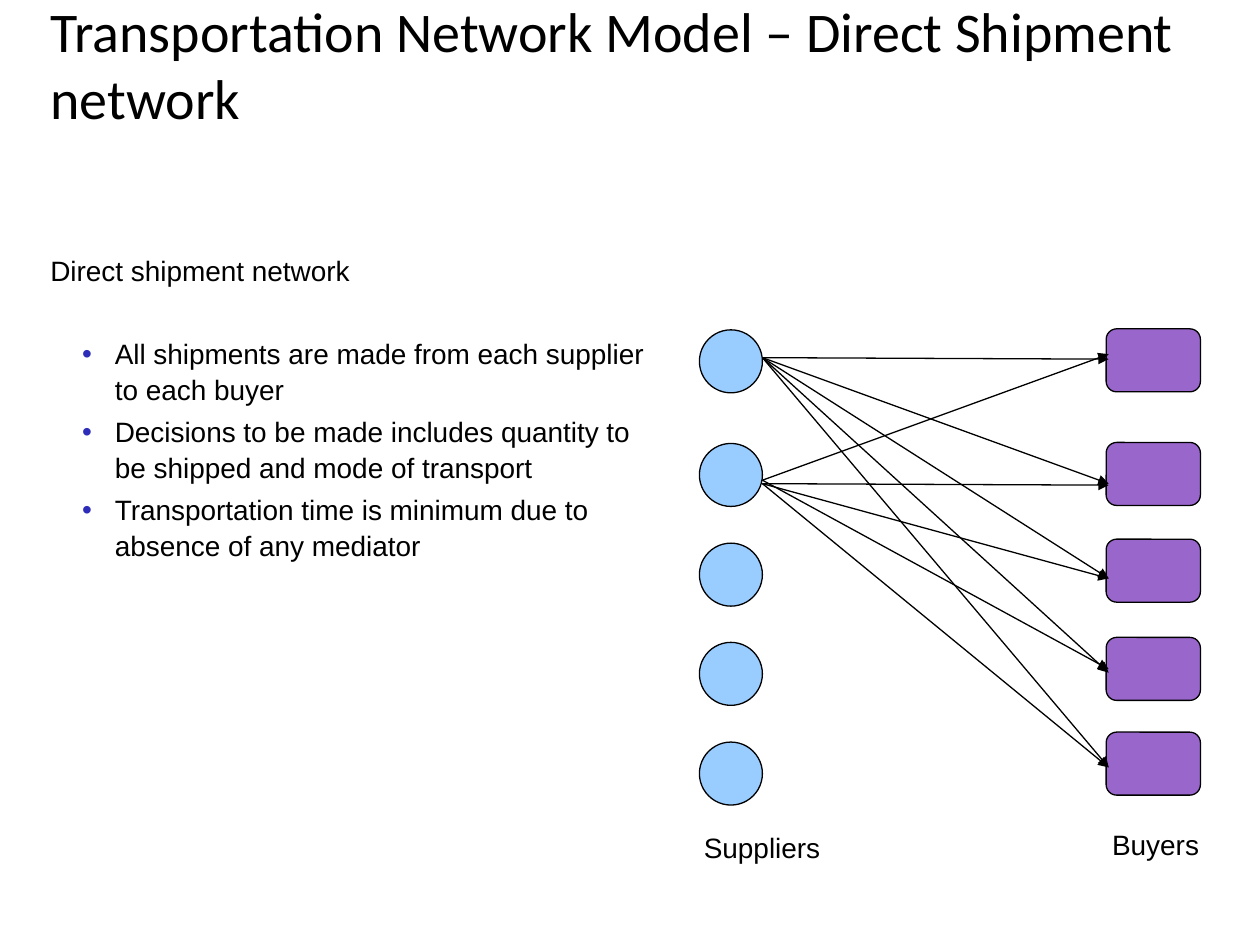
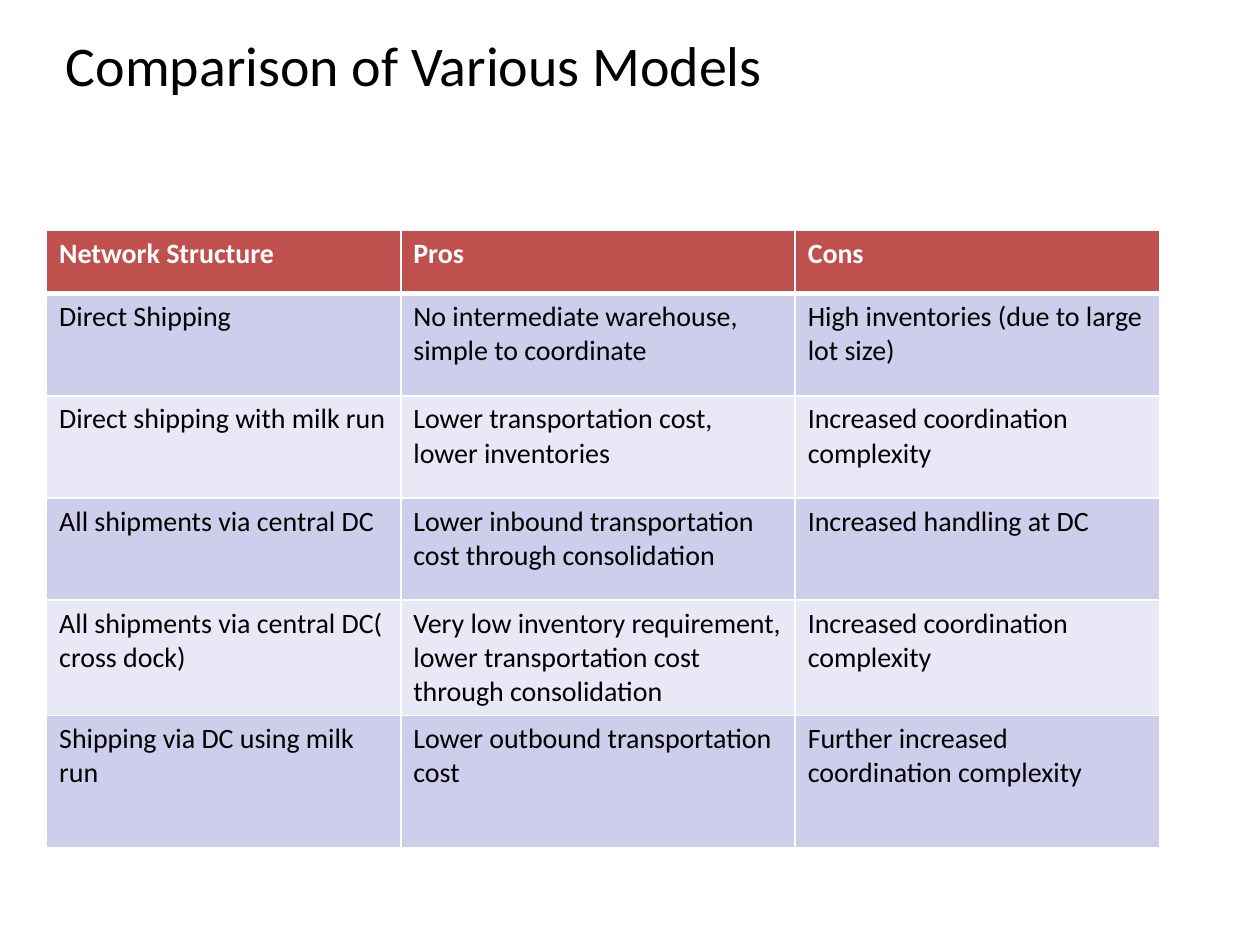
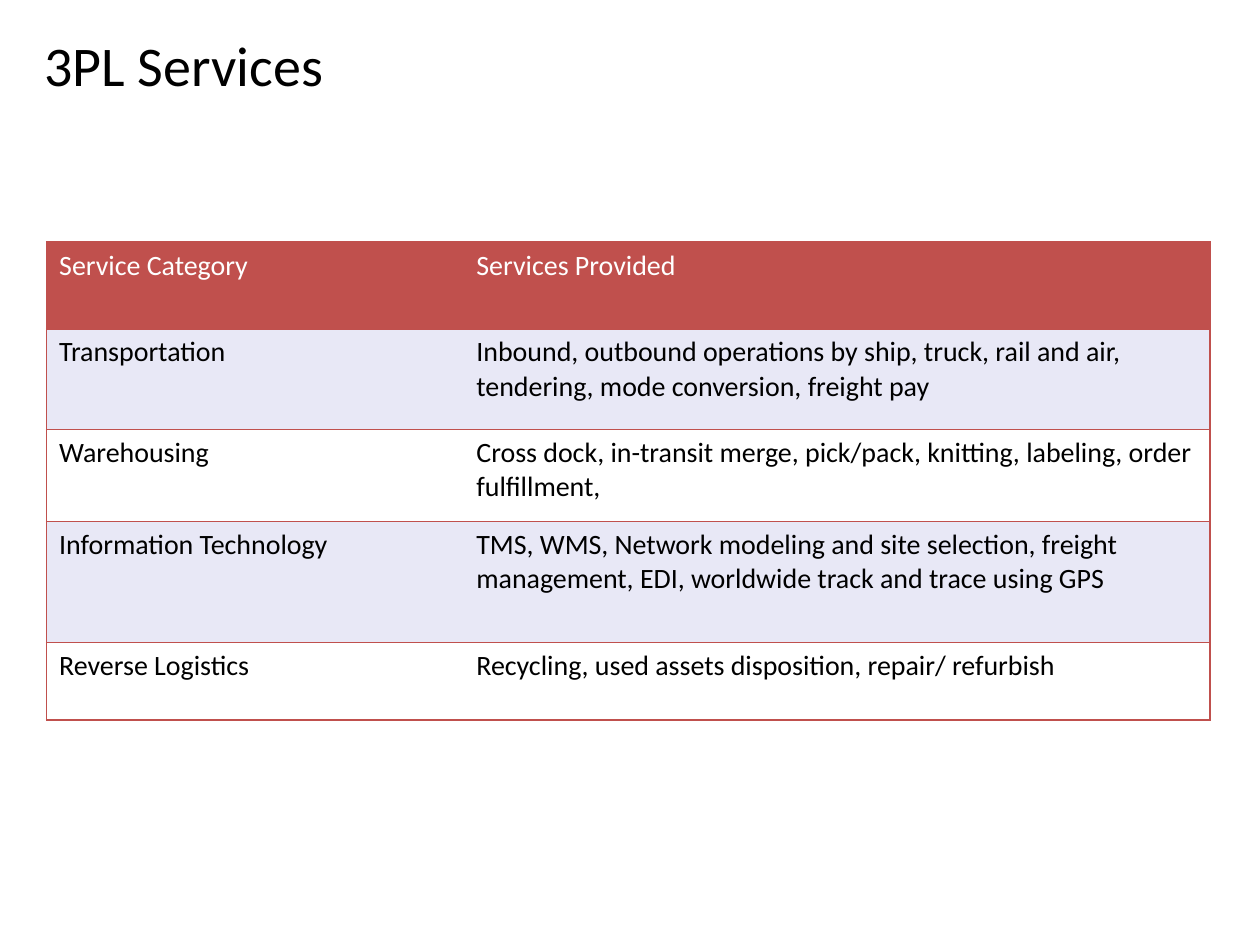
from lxml.etree import SubElement
from pptx import Presentation
from pptx.dml.color import RGBColor
from pptx.enum.shapes import MSO_CONNECTOR as Link, MSO_SHAPE as Form
from pptx.enum.text import MSO_ANCHOR as Anchor, MSO_AUTO_SIZE as AutoSize, PP_ALIGN as Align
from pptx.oxml.ns import qn
from pptx.util import Cm, Pt

COLORS = {
    "black": "000000", "white": "FFFFFF", "supplier": "99CCFF", "buyer": "9966CC",
    "bullet": "2D2DB9", "header": "C0504D", "band": "CDCDEC", "pale": "E8E8F6",
}
TITLE_ONLY, TITLE_AND_BODY = 5, 1
SIDES = {"left": "a:lnL", "right": "a:lnR", "top": "a:lnT", "bottom": "a:lnB"}


def rgb(name):
    return RGBColor.from_string(COLORS[name])


class SlideBuilder:
    """Holds the shared style and the slide being built."""

    heading_font, text_font = "Calibri", "Arial"
    heading_size, text_size = Pt(32), Pt(16)

    def __init__(self, deck):
        self.deck = deck
        self.page = None

    def style(self, para, face, size, color="black", bold=False):
        font = para.font
        font.name, font.size, font.bold = face, size, bold
        font.color.rgb = rgb(color)

    def place(self, box, left, top, width, height):
        box.left, box.top, box.width, box.height = map(Cm, (left, top, width, height))

    def start(self, title, left, width, layout=TITLE_ONLY):
        self.page = self.deck.slides.add_slide(self.deck.slide_layouts[layout])
        box = self.page.shapes.title
        self.place(box, left, 0.46, width, 1.65)
        frame = box.text_frame
        frame.text = title
        frame.auto_size = AutoSize.NONE
        frame.vertical_anchor = Anchor.MIDDLE
        para = frame.paragraphs[0]
        para.alignment = Align.LEFT
        self.style(para, self.heading_font, self.heading_size)

    def indent(self, para, margin, hanging):
        props = para._p.get_or_add_pPr()
        props.set("marL", str(Cm(margin)))
        props.set("indent", str(-Cm(hanging)))
        return props

    def body(self, heading, items, left, top, width, height):
        box = self.page.placeholders[1]
        self.place(box, left, top, width, height)
        frame = box.text_frame
        frame.auto_size = AutoSize.NONE
        frame.text = "\n".join([heading, *items])
        for index, para in enumerate(frame.paragraphs):
            para.line_spacing = 1.06
            para.space_before = Pt(27 if index == 1 else 4)
            if index == 0:
                SubElement(self.indent(para, 0.3, 0.3), qn("a:buNone"))
            else:
                para.level = 1
                props = self.indent(para, 1.3, 0.66)
                tint = SubElement(props, qn("a:buClr"))
                SubElement(tint, qn("a:srgbClr"), val=COLORS["bullet"])
                SubElement(props, qn("a:buFont"), typeface=self.text_font)
                SubElement(props, qn("a:buChar"), char="•")
            self.style(para, self.text_font, self.text_size)

    def node(self, form, color, left, top, width, height):
        shape = self.page.shapes.add_shape(form, *map(Cm, (left, top, width, height)))
        shape.shadow.inherit = False
        shape.fill.solid()
        shape.fill.fore_color.rgb = rgb(color)
        shape.line.color.rgb = rgb("black")
        shape.line.width = Pt(0.75)

    def arrow(self, *ends):
        link = self.page.shapes.add_connector(Link.STRAIGHT, *map(Cm, ends))
        link.line.color.rgb = rgb("black")
        link.line.width = Pt(0.75)
        SubElement(link.line._get_or_add_ln(), qn("a:tailEnd"), type="triangle")
        SubElement(link._element.spPr, qn("a:effectLst"))

    def label(self, text, left, top, width, height):
        box = self.page.shapes.add_textbox(*map(Cm, (left, top, width, height)))
        frame = box.text_frame
        frame.word_wrap = False
        frame.text = text
        self.style(frame.paragraphs[0], self.text_font, self.text_size)

    def borders(self, cell, edges):
        """Draw the edges given as side: (colour, points) and hide the others."""
        props = cell._tc.get_or_add_tcPr()
        for side, tag in SIDES.items():
            color, points = edges.get(side, (None, 0))
            line = SubElement(props, qn(tag), w=str(Pt(points)))
            if color is None:
                SubElement(line, qn("a:noFill"))
            else:
                fill = SubElement(line, qn("a:solidFill"))
                SubElement(fill, qn("a:srgbClr"), val=COLORS[color])

    def table(self, rows, left, top, widths, heights, bands, edges_at, bold_header):
        """Header row, then body rows that take the band colours in turn."""
        frame = self.page.shapes.add_table(
            len(rows), len(widths),
            *map(Cm, (left, top, sum(widths), sum(heights))))
        table = frame.table
        table.first_row = table.horz_banding = False
        for column, width in zip(table.columns, widths):
            column.width = Cm(width)
        for row, height in zip(table.rows, heights):
            row.height = Cm(height)
        for r, texts in enumerate(rows):
            header = r == 0
            for c, text in enumerate(texts):
                cell = table.cell(r, c)
                cell.text = text
                self.style(cell.text_frame.paragraphs[0], self.heading_font, self.text_size,
                           "white" if header else "black", header and bold_header)
                self.borders(cell, edges_at(r, c))
                cell.fill.solid()
                fill = "header" if header else bands[(r - 1) % len(bands)]
                cell.fill.fore_color.rgb = rgb(fill)


def shipment_network(builder):
    builder.start("Transportation Network Model – Direct Shipment network",
                  0.76, 23.65, TITLE_AND_BODY)
    builder.body("Direct shipment network", [
        "All shipments are made from each supplier to each buyer",
        "Decisions to be made includes quantity to be shipped and mode of transport",
        "Transportation time is minimum due to absence of any mediator",
    ], 0.76, 4.95, 12.57, 4.37)

    # Suppliers and buyers
    for top in (6.65, 8.94, 10.95, 12.95, 14.96):
        builder.node(Form.OVAL, "supplier", 14.1, top, 1.27, 1.27)
    for top in (6.63, 8.92, 10.87, 12.85, 14.76):
        builder.node(Form.ROUNDED_RECTANGLE, "buyer", 22.3, top, 1.9, 1.27)
    builder.label("Suppliers", 13.94, 16.61, 2.87, 1.02)
    builder.label("Buyers", 22.17, 16.56, 2.26, 0.86)

    # Shipments: start height at a supplier, end heights at the buyers
    shipments = {
        7.21: (7.24, 9.75, 11.66, 13.56, 15.47),
        9.68: (7.14, 13.49),
        9.75: (9.78, 11.66, 15.47),
    }
    for start, ends in shipments.items():
        for end in ends:
            builder.arrow(15.37, start, 22.35, end)


def model_comparison(builder):
    def white_grid(r, c):
        edges = {side: ("white", 1) for side in SIDES}
        if r < 2:
            edges["top" if r else "bottom"] = ("white", 3)
        return edges

    builder.start("Comparison of Various Models", 1.07, 23.34)
    rows = [
        ("Network Structure", "Pros", "Cons"),
        ("Direct Shipping", "No intermediate warehouse, simple to coordinate",
         "High inventories (due to large lot size)"),
        ("Direct shipping with milk run", "Lower transportation cost, lower inventories",
         "Increased coordination complexity"),
        ("All shipments via central DC",
         "Lower inbound transportation cost through consolidation",
         "Increased handling at DC"),
        ("All shipments via central DC( cross dock)",
         "Very low inventory requirement, lower transportation cost through consolidation",
         "Increased coordination complexity"),
        ("Shipping via DC using milk run", "Lower outbound transportation cost",
         "Further increased coordination complexity"),
    ]
    builder.table(rows, 0.94, 4.65, [7.14, 7.95, 7.34], [1.27] + [2.06] * 4 + [2.67],
                  ["band", "pale"], white_grid, bold_header=True)


def logistics_services(builder):
    def red_rules(r, c):
        outer = "right" if c else "left"
        return {side: ("header", 1) for side in ("top", "bottom", outer)}

    builder.start("3PL Services", 0.64, 23.77)
    rows = [
        ("Service Category", "Services Provided"),
        ("Transportation", "Inbound, outbound operations by ship, truck, rail and air, "
                           "tendering, mode conversion, freight pay"),
        ("Warehousing", "Cross dock, in-transit merge, pick/pack, knitting, labeling, "
                        "order fulfillment,"),
        ("Information Technology", "TMS, WMS, Network modeling and site selection, freight "
                                   "management, EDI, worldwide track and trace using GPS"),
        ("Reverse Logistics", "Recycling, used assets disposition, repair/ refurbish"),
    ]
    builder.table(rows, 0.94, 4.88, [8.41, 15.04], [1.75, 2.03, 1.85, 2.44, 1.57],
                  ["pale", "white"], red_rules, bold_header=False)


def main():
    deck = Presentation()
    deck.slide_width, deck.slide_height = Cm(25.4), Cm(19.05)
    builder = SlideBuilder(deck)
    shipment_network(builder)
    model_comparison(builder)
    logistics_services(builder)
    deck.save("out.pptx")


if __name__ == "__main__":
    main()
